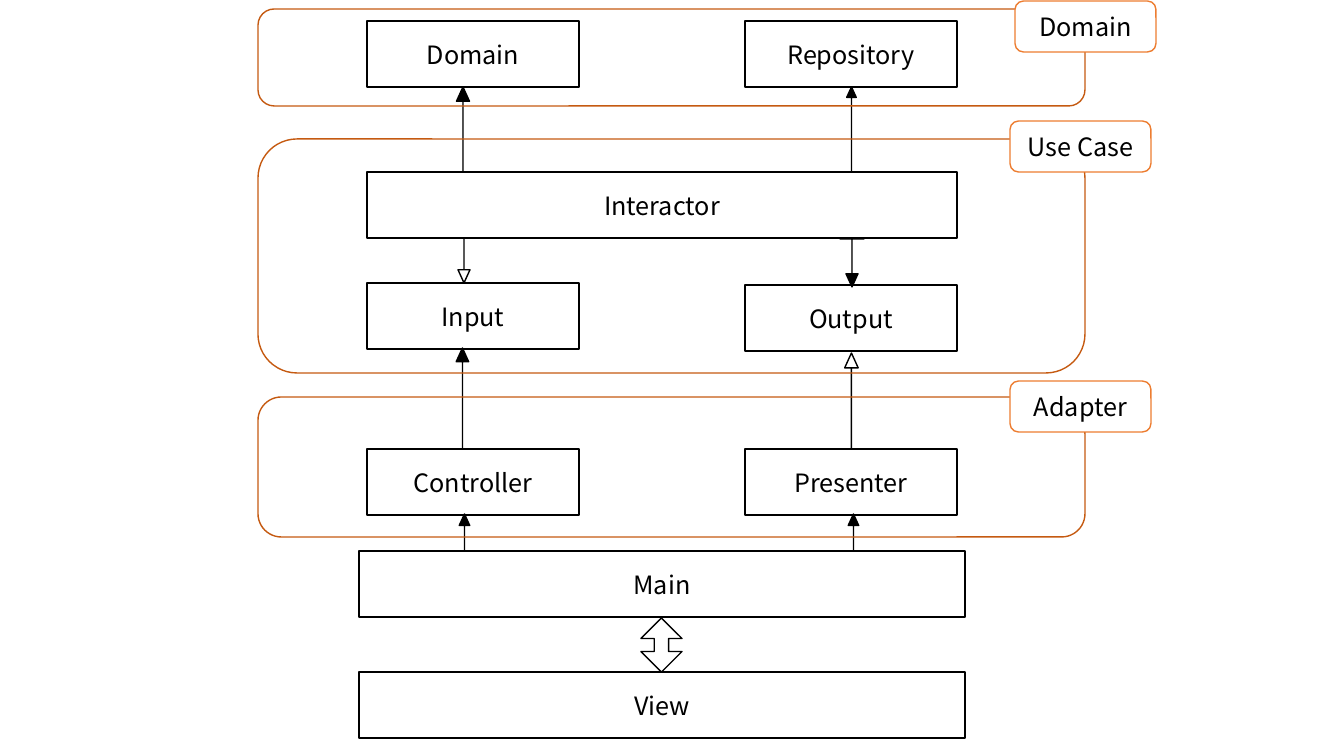
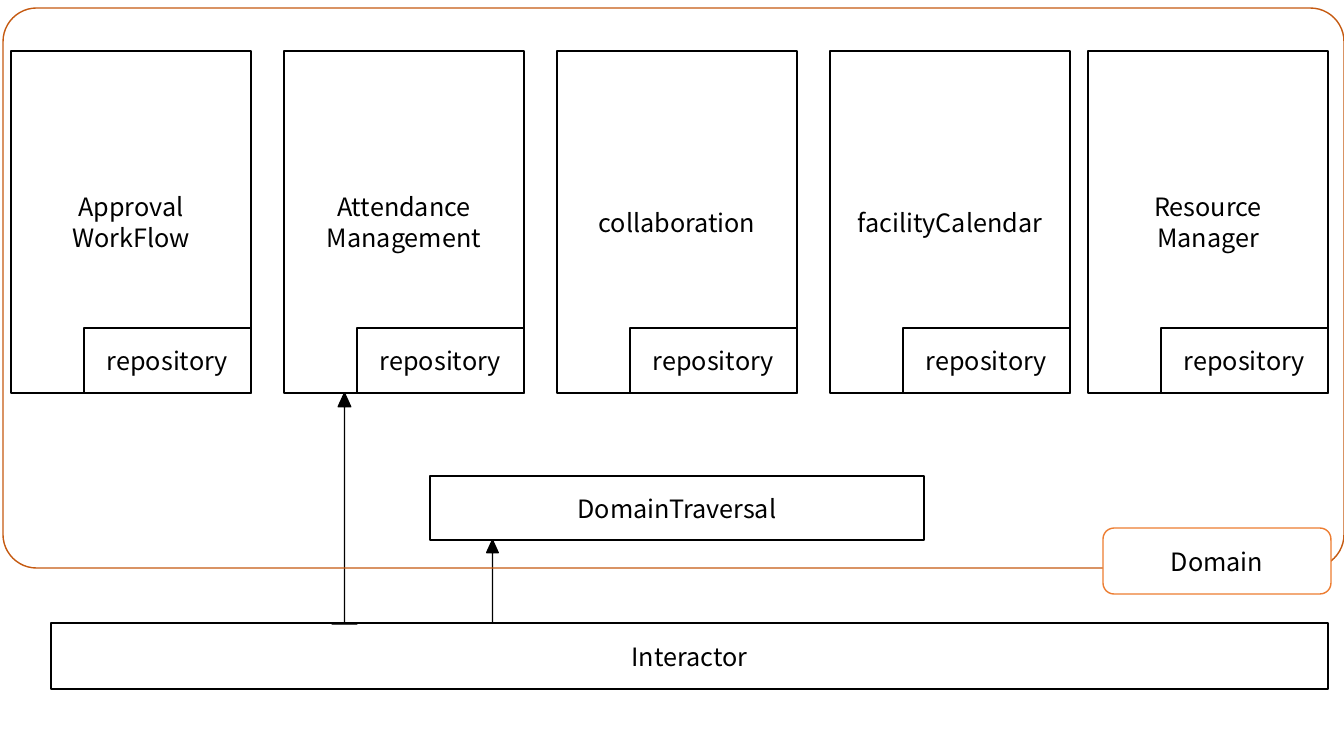
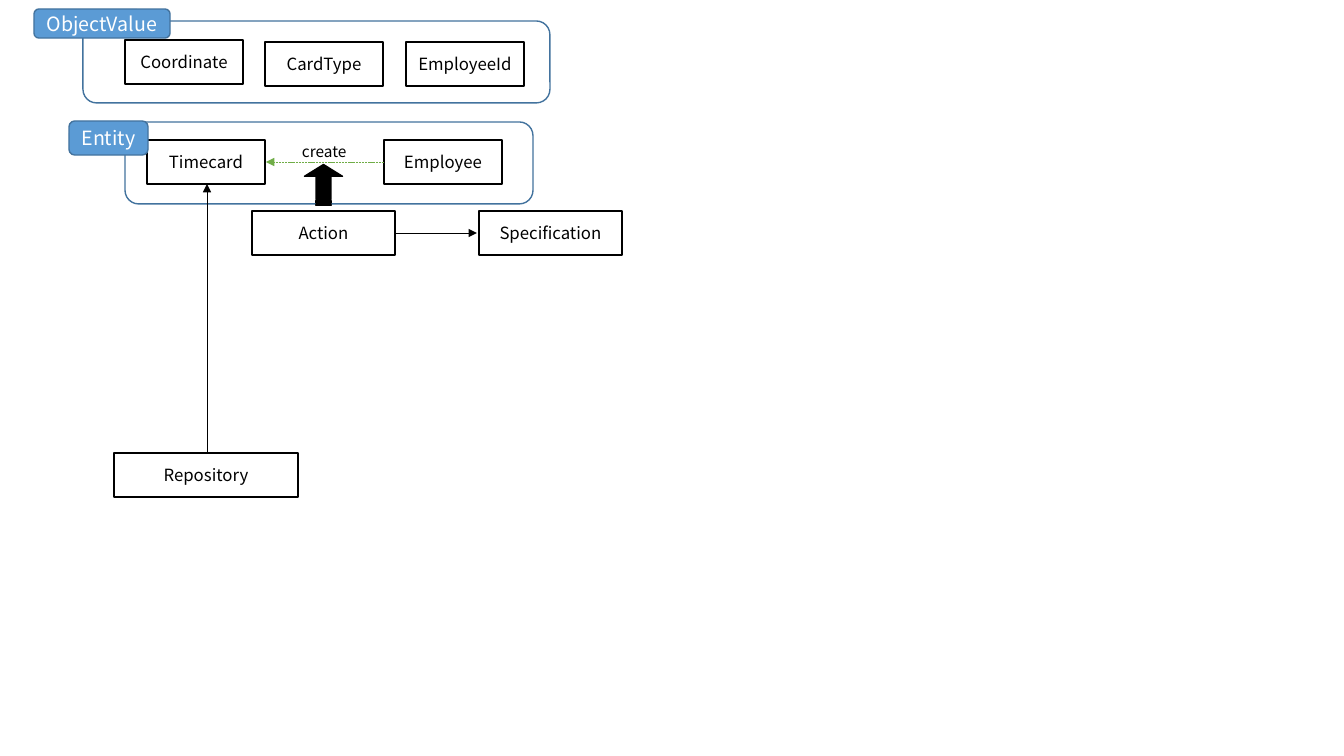
"""Builds three box-and-arrow slides about a layered architecture."""
from lxml.etree import SubElement
from pptx import Presentation
from pptx.dml.color import RGBColor
from pptx.enum.dml import MSO_LINE
from pptx.enum.shapes import MSO_CONNECTOR, MSO_SHAPE
from pptx.enum.text import MSO_ANCHOR, MSO_AUTO_SIZE, PP_ALIGN
from pptx.oxml.ns import qn
from pptx.util import Pt

SCALE = 914400 / 100.8
FONT = "Noto Sans CJK JP"
COLORS = {
    "black": "000000",
    "white": "FFFFFF",
    "rust": "C55A11",
    "orange": "ED7D31",
    "blue": "5B9BD5",
    "navy": "43739E",
    "green": "70AD47",
}


def px(*lengths):
    return [round(n * SCALE) for n in lengths]


def rgb(name):
    return RGBColor.from_string(COLORS[name])


class Diagram:
    """Draws the elements of the diagrams on the current slide."""

    def __init__(self):
        self.prs = Presentation()
        self.prs.slide_width, self.prs.slide_height = px(1344, 756)
        self.slide = None
        self.size = 18

    def new_slide(self, size):
        self.slide = self.prs.slides.add_slide(self.prs.slide_layouts[6])
        self.size = size

    def shape(self, kind, at, fill, line, adj=()):
        s = self.slide.shapes.add_shape(kind, *px(*at))
        s.shadow.inherit = False
        if fill:
            s.fill.solid()
            s.fill.fore_color.rgb = rgb(fill)
        else:
            s.fill.background()
        s.line.color.rgb = rgb(line)
        s.line.width = Pt(1)
        for i, value in enumerate(adj):
            s.adjustments[i] = value
        return s

    def set_text(self, s, text, size, color, align):
        tf = s.text_frame
        tf.text = text
        for p in tf.paragraphs:
            p.alignment = align
            for r in p.runs:
                r.font.name = FONT
                r.font.size = Pt(size)
                r.font.color.rgb = rgb(color)

    def box(self, text, *at):
        s = self.shape(MSO_SHAPE.RECTANGLE, at, "white", "black")
        s.text_frame.vertical_anchor = MSO_ANCHOR.MIDDLE
        self.set_text(s, text, self.size, "black", PP_ALIGN.CENTER)

    def group(self, *at, line="rust", adj=()):
        self.shape(MSO_SHAPE.ROUNDED_RECTANGLE, at, None, line, adj)

    def label(self, text, *at, fill="white", line="orange", size=18, color="black"):
        s = self.shape(MSO_SHAPE.ROUNDED_RECTANGLE, at, fill, line)
        s.text_frame.vertical_anchor = MSO_ANCHOR.MIDDLE
        self.set_text(s, text, size, color, PP_ALIGN.CENTER)

    def arrow(self, *at, fill="black", down=False):
        s = self.shape(MSO_SHAPE.UP_ARROW_CALLOUT, at, fill, "black", (0, 0.25, 0.55, 0))
        if down:
            s._element.spPr.find(qn("a:xfrm")).set("flipV", "1")

    def line(self, *ends, color="black", dash=None):
        c = self.slide.shapes.add_connector(MSO_CONNECTOR.STRAIGHT, *px(*ends))
        c.line.color.rgb = rgb(color)
        c.line.width = Pt(0.5)
        if dash:
            c.line.dash_style = dash
        props = c._element.spPr
        SubElement(props.find(qn("a:ln")), qn("a:tailEnd"), type="triangle")
        SubElement(props, qn("a:effectLst"))

    def note(self, text, size, *at):
        s = self.slide.shapes.add_textbox(*px(*at))
        s.text_frame.word_wrap = False
        s.text_frame.auto_size = MSO_AUTO_SIZE.SHAPE_TO_FIT_TEXT
        self.set_text(s, text, size, "black", PP_ALIGN.LEFT)


def layers(d):
    d.new_slide(18)
    left, right = 367, 745
    for text, x, y in (
        ("Domain", left, 21), ("Repository", right, 21),
        ("Input", left, 283), ("Output", right, 285),
        ("Controller", left, 449), ("Presenter", right, 449),
    ):
        d.box(text, x, y, 212, 66)
    d.box("Interactor", left, 172, 590, 66)
    for text, y in (("Main", 551), ("View", 672)):
        d.box(text, 359, y, 606, 66)

    d.arrow(838, 353, 27, 96, fill=None)
    d.arrow(452, 238, 24, 45, fill=None, down=True)
    d.arrow(840, 239, 24, 48, down=True)
    for at in (
        (450, 348, 25, 101), (450, 87, 26, 85), (842, 87, 19, 85),
        (454, 514, 21, 37), (843, 514, 21, 37),
    ):
        d.arrow(*at)
    d.shape(MSO_SHAPE.UP_DOWN_ARROW, (641, 618, 41, 54), "white", "black", (0.51, 0.35))

    for text, y, height, label_x, label_y in (
        ("Use Case", 139, 234, 1010, 121),
        ("Adapter", 397, 140, 1010, 381),
        ("Domain", 9, 97, 1015, 1),
    ):
        d.group(258, y, 827, height)
        d.label(text, label_x, label_y, 141, 51)


def domains(d):
    d.new_slide(18)
    d.box("Interactor", 51, 623, 1277, 66)
    names = ("Approval\vWorkFlow", "Attendance\vManagement", "collaboration",
             "facilityCalendar", "Resource\vManager")
    columns = [11 + 273 * i for i in range(4)] + [1088]
    for text, x in zip(names, columns):
        d.box(text, x, 51, 240, 342)
        d.box("repository", x + 73, 328, 167, 65)
    d.box("DomainTraversal", 430, 476, 494, 64)
    d.arrow(332, 393, 25, 231)
    d.arrow(481, 540, 23, 83)
    d.group(3, 8, 1341, 560, adj=(0.06,))
    d.label("Domain", 1103, 528, 228, 66)


def timecard(d):
    d.new_slide(12)
    for text, x, y in (
        ("Timecard", 147, 140), ("Employee", 384, 140),
        ("EmployeeId", 406, 42), ("Coordinate", 125, 40), ("CardType", 265, 42),
    ):
        d.box(text, x, y, 118, 44)
    d.group(125, 122, 408, 82, line="navy")
    d.group(83, 21, 467, 82, line="navy")
    for text, at in (("Entity", (69, 121, 79, 34)), ("ObjectValue", (34, 9, 136, 29))):
        d.label(text, *at, fill="blue", line="navy", size=14, color="white")
    d.box("Repository", 114, 453, 184, 44)
    d.box("Specification", 479, 211, 143, 44)
    d.line(384, 162, 266, 162, color="green", dash=MSO_LINE.SQUARE_DOT)
    d.note("create", 11, 292, 137, 66, 29)
    d.line(395, 233, 477, 233)
    d.box("Action", 252, 211, 143, 44)
    s = d.shape(MSO_SHAPE.STRIPED_RIGHT_ARROW, (303, 166, 41, 38), "black", "black", (0.39, 0.31))
    s.rotation = 270
    d.line(207, 453, 207, 184)


d = Diagram()
layers(d)
domains(d)
timecard(d)
d.prs.save("out.pptx")
